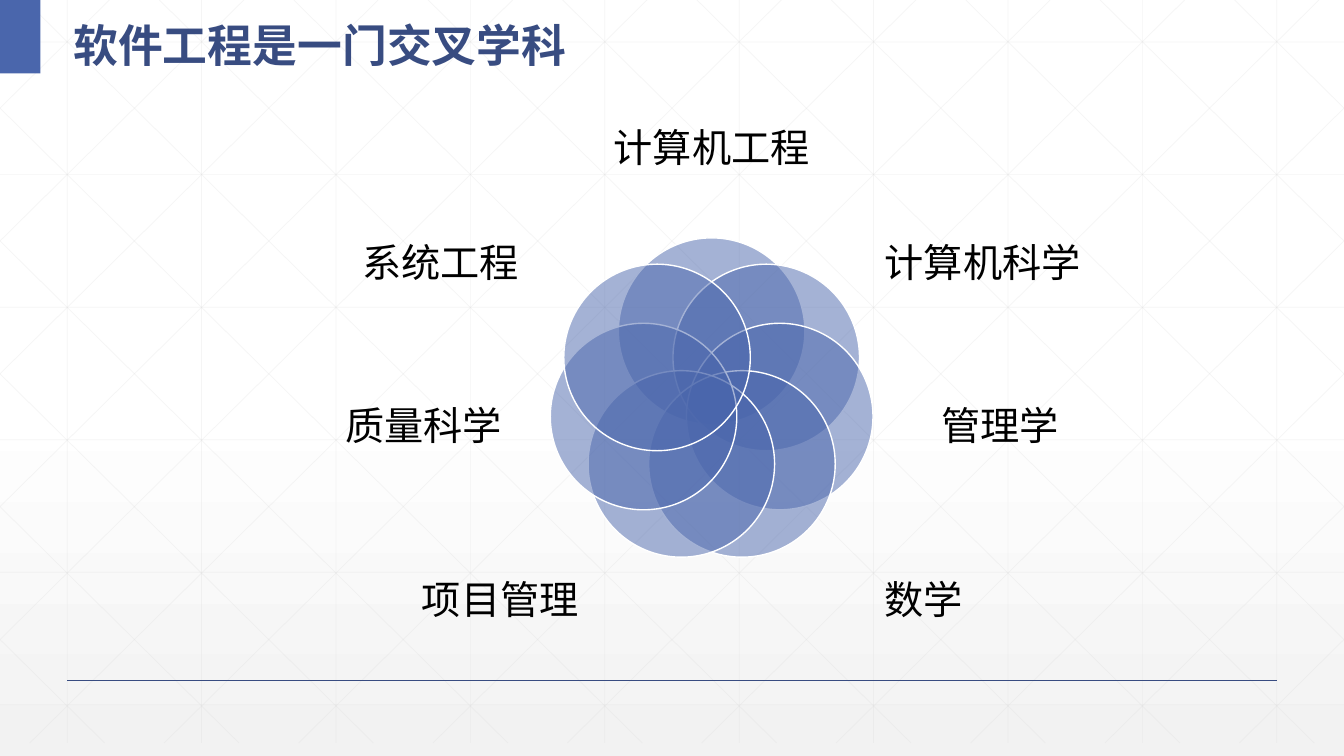
from math import cos, pi, sin

from lxml.etree import SubElement
from pptx import Presentation
from pptx.dml.color import RGBColor
from pptx.enum.shapes import MSO_CONNECTOR, MSO_SHAPE
from pptx.enum.text import MSO_ANCHOR, PP_ALIGN
from pptx.oxml.ns import qn
from pptx.util import Cm, Pt

WHITE = RGBColor(0xFF, 0xFF, 0xFF)
BLACK = RGBColor(0x00, 0x00, 0x00)
MIST = RGBColor(0xF2, 0xF2, 0xF2)
GRID_GRAY = RGBColor(0xD9, 0xD9, 0xD9)
BLUE = RGBColor(0x4A, 0x66, 0xAC)
NAVY = RGBColor(0x38, 0x4C, 0x81)

SLIDE_WIDTH, SLIDE_HEIGHT = 33.87, 19.05

DISCIPLINES = [
    ("计算机工程", 0, -6.34),
    ("计算机科学", 6.83, -3.44),
    ("管理学", 7.26, 0.68),
    ("数学", 5.33, 5.06),
    ("项目管理", -5.33, 5.06),
    ("质量科学", -7.26, 0.68),
    ("系统工程", -6.83, -3.44),
]


def set_opacity(fill, percent):
    color = fill._xPr.find(qn("a:solidFill"))[0]
    SubElement(color, qn("a:alpha"), val=str(percent * 1000))


def add_line(slide, start, end, color, width, opacity=100):
    line = slide.shapes.add_connector(
        MSO_CONNECTOR.STRAIGHT, *(Cm(value) for value in (*start, *end)))
    line.line.color.rgb = color
    line.line.width = Pt(width)
    if opacity < 100:
        set_opacity(line.line.fill, opacity)
    SubElement(line._element.spPr, qn("a:effectLst"))


def add_filled(slide, preset, left, top, width, height, color):
    shape = slide.shapes.add_shape(preset, Cm(left), Cm(top), Cm(width), Cm(height))
    shape.shadow.inherit = False
    shape.fill.solid()
    shape.fill.fore_color.rgb = color
    shape.line.fill.background()
    return shape


def add_text(slide, left, top, width, height, text, font_name, size, color):
    box = slide.shapes.add_textbox(Cm(left), Cm(top), Cm(width), Cm(height))
    frame = box.text_frame
    frame.word_wrap = True
    frame.vertical_anchor = MSO_ANCHOR.MIDDLE
    paragraph = frame.paragraphs[0]
    paragraph.text = text
    paragraph.font.name = font_name
    paragraph.font.size = Pt(size)
    paragraph.font.color.rgb = color
    return frame, paragraph


def paint_background(slide):
    fill = slide.background.fill
    fill.gradient()
    fill.gradient_angle = 270
    for stop, color, position in zip(fill.gradient_stops, (WHITE, MIST), (0.53, 1)):
        stop.color.rgb = color
        stop.position = position


def draw_grid(slide, left, top, width, height):
    column, row = width / 10, 3.34
    slope = 18.72 / 18.94

    def grid_line(start, end):
        add_line(slide, (left + start[0], top + start[1]),
                 (left + end[0], top + end[1]), GRID_GRAY, 0.5, 25)

    for i in range(10):
        x = column * (i + 0.5)
        grid_line((x, 0), (x, height))
    for i in range(6):
        y = 1.06 + row * i
        grid_line((0, y), (width, y))
    for i in range(-5, 10):
        origin = 0.63 + column * i
        x1 = max(origin, 0)
        x2 = min(origin + height / slope, width)
        y1, y2 = ((x - origin) * slope for x in (x1, x2))
        grid_line((x1, y1), (x2, y2))
        grid_line((width - x1, y1), (width - x2, y2))


def draw_heading(slide, left, top, width, height):
    add_filled(slide, MSO_SHAPE.RECTANGLE, left, top, 1.02, height, BLUE)
    _, title = add_text(slide, left + 1.6, top, width - 1.6, height,
                        "软件工程是一门交叉学科", "Noto Sans CJK SC", 32, NAVY)
    title.font.bold = True
    title.line_spacing = 1.3
    SubElement(title.font._element, qn("a:ea"), typeface="Noto Sans CJK SC")


def draw_venn(slide, left, top, width, height):
    center_x, center_y = left + width / 2, top + height * 0.54
    diameter, ring = 4.7, 1.76
    label_width, label_height = 5.2, 3.1

    for i, (discipline, dx, dy) in enumerate(DISCIPLINES):
        angle = 2 * pi * i / len(DISCIPLINES)
        circle = add_filled(
            slide, MSO_SHAPE.OVAL,
            center_x + ring * sin(angle) - diameter / 2,
            center_y - ring * cos(angle) - diameter / 2,
            diameter, diameter, BLUE)
        set_opacity(circle.fill, 50)
        circle.line.color.rgb = WHITE
        circle.line.width = Pt(1)

        frame, label = add_text(
            slide, center_x + dx - label_width / 2, center_y + dy - label_height / 2,
            label_width, label_height, discipline, "Arial", 28, BLACK)
        frame.margin_left = frame.margin_right = 0
        frame.margin_top = frame.margin_bottom = 0
        label.alignment = PP_ALIGN.CENTER
        label.line_spacing = 0.9


def main():
    deck = Presentation()
    deck.slide_width, deck.slide_height = Cm(SLIDE_WIDTH), Cm(SLIDE_HEIGHT)
    slide = deck.slides.add_slide(deck.slide_layouts[6])
    paint_background(slide)
    draw_grid(slide, 0, 0, SLIDE_WIDTH, 18.72)
    add_line(slide, (1.69, 17.14), (SLIDE_WIDTH - 1.69, 17.14), NAVY, 1)
    draw_heading(slide, 0, 0, 16.05, 1.85)
    draw_venn(slide, 8.18, 2.34, 19.51, 14.38)
    deck.save("out.pptx")


if __name__ == "__main__":
    main()
